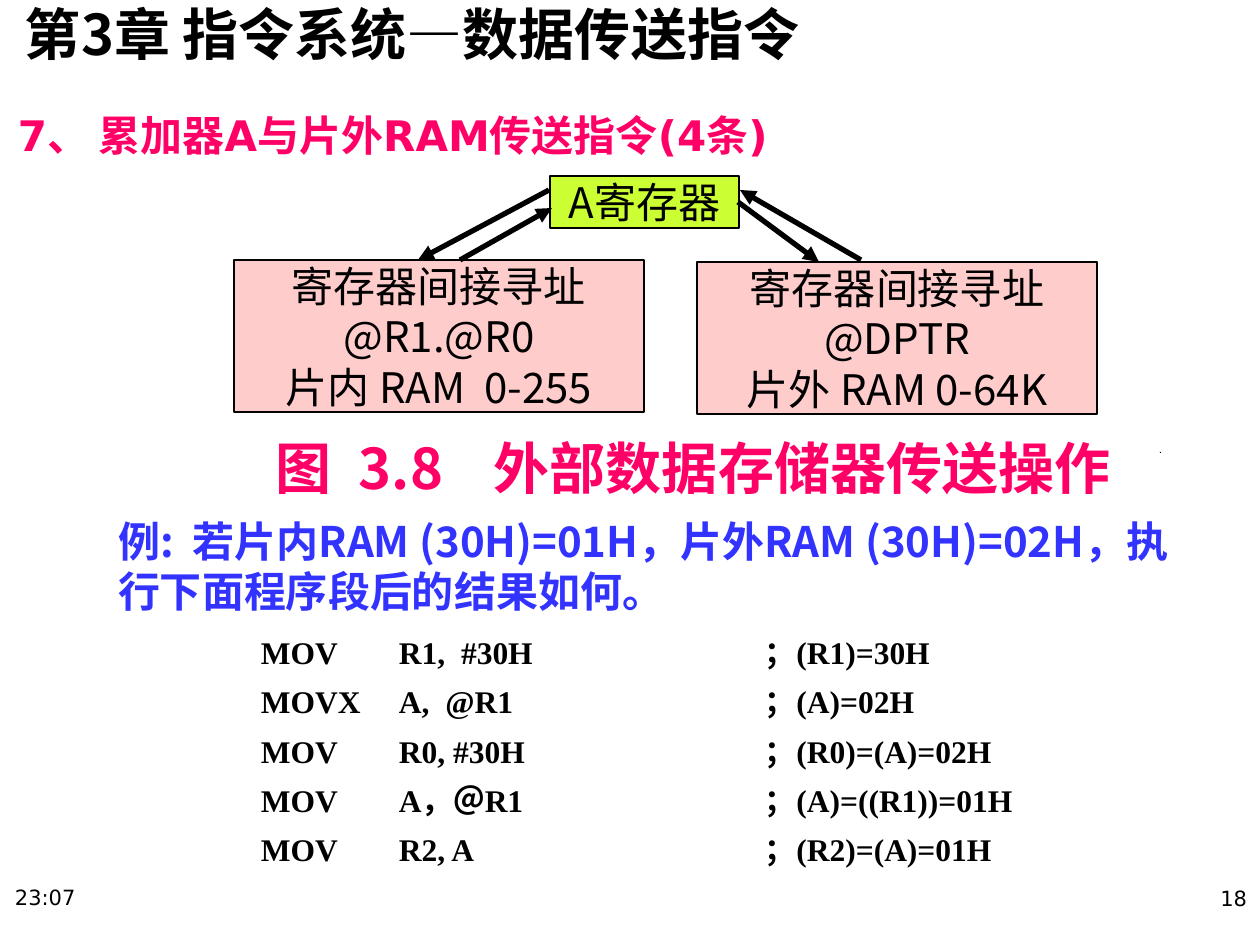
from lxml import etree
from pptx import Presentation
from pptx import util as u
from pptx.dml.color import RGBColor
from pptx.enum import shapes, text
from pptx.oxml import ns

SCALE = 914400 / 126
BLACK = RGBColor(0x00, 0x00, 0x00)
PINK = RGBColor(0xFF, 0x00, 0x66)
BLUE = RGBColor(0x33, 0x33, 0xFF)
LIME = RGBColor(0xCC, 0xFF, 0x33)
ROSE = RGBColor(0xFF, 0xCC, 0xCC)
CJK = "Noto Sans CJK SC"
CJK_JP = "Noto Sans CJK JP"
DEJAVU = "DejaVu Sans"
TIMES = "Times New Roman"
LEFT, CENTER, RIGHT = (text.PP_ALIGN.LEFT, text.PP_ALIGN.CENTER, text.PP_ALIGN.RIGHT)
INSET = (13, 6, 13, 6)
FLUSH = (0, 0, 0, 0)


def px(length):
    return u.Emu(round(length * SCALE))


def write(shape, lines, size, font, color=BLACK, bold=False, align=LEFT,
          inset=INSET, wrap=True, anchor=text.MSO_ANCHOR.TOP):
    frame = shape.text_frame
    frame.word_wrap = wrap
    frame.vertical_anchor = anchor
    frame.margin_left, frame.margin_top, frame.margin_right, frame.margin_bottom = map(px, inset)
    frame.text = "\n".join(lines)
    for para in frame.paragraphs:
        para.alignment = align
        for span in para.runs:
            span.font.size = u.Pt(size)
            span.font.bold = bold
            span.font.name = font
            span.font.color.rgb = color
            east = etree.SubElement(span.font._element, ns.qn("a:ea"))
            east.set("typeface", CJK_JP if font == CJK_JP else CJK)
    return frame


def add_text(parent, box, lines, size, font, **style):
    return write(parent.shapes.add_textbox(*map(px, box)), lines, size, font, **style)


def add_block(parent, box, fill, lines=()):
    block = parent.shapes.add_shape(shapes.MSO_SHAPE.RECTANGLE, *map(px, box))
    block.shadow.inherit = False
    block.fill.solid()
    block.fill.fore_color.rgb = fill
    if lines:
        block.line.color.rgb = BLACK
        block.line.width = u.Pt(0.75)
        write(block, lines, 24, CJK, align=CENTER, inset=FLUSH, anchor=text.MSO_ANCHOR.MIDDLE)
    else:
        block.line.fill.background()


def add_arrow(page, start, end):
    arrow = page.shapes.add_connector(shapes.MSO_CONNECTOR.STRAIGHT, *map(px, start + end))
    arrow.line.color.rgb = BLACK
    arrow.line.width = u.Pt(3)
    etree.SubElement(arrow.line._get_or_add_ln(), ns.qn("a:tailEnd")).set("type", "triangle")
    etree.SubElement(arrow._element.spPr, ns.qn("a:effectLst"))


def add_diagram(page, left, top):
    blocks = [
        ((316, 0, 189, 52), LIME, ["A寄存器"]),
        ((0, 84, 410, 152), ROSE, ["寄存器间接寻址", "@R1.@R0", "片内 RAM  0-255"]),
        ((463, 86, 400, 152), ROSE, ["寄存器间接寻址", "@DPTR", "片外 RAM 0-64K"]),
    ]
    for (x, y, width, height), fill, lines in blocks:
        add_block(page, (left + x, top + y, width, height), fill, lines)
    arrows = [((315, 14), (184, 84)), ((226, 84), (318, 32)),
              ((504, 26), (585, 86)), ((627, 84), (506, 14))]
    for start, end in arrows:
        add_arrow(page, (left + start[0], top + start[1]), (left + end[0], top + end[1]))


def add_caption(page, left, top):
    caption = page.shapes.add_group_shape()
    for x, width, words in [(0, 57, "图"), (84, 123, "3.8"), (219, 625, "外部数据存储器传送操作")]:
        add_text(caption, (left + x, top, width, 68), [words], 32, CJK,
                 color=PINK, bold=True, inset=FLUSH, wrap=False)
    add_block(caption, (left + 885, top + 19, 1, 1), BLACK)


def add_code(page, box):
    rows = [
        ("MOV", "R1,  #30H", "(R1)=30H"),
        ("MOVX", "A,  @R1", "(A)=02H"),
        ("MOV", "R0, #30H", "(R0)=(A)=02H"),
        ("MOV", "A，＠R1", "(A)=((R1))=01H"),
        ("MOV", "R2, A", "(R2)=(A)=01H"),
    ]
    lines = [f"\t{name}\t{operands}\t；{result}" for name, operands, result in rows]
    frame = add_text(page, box, lines, 18, TIMES, bold=True, wrap=False)
    for para in frame.paragraphs:
        para.line_spacing = 1.3
        stops = etree.SubElement(para._p.get_or_add_pPr(), ns.qn("a:tabLst"))
        for position in (126, 264, 630):
            stop = etree.SubElement(stops, ns.qn("a:tab"))
            stop.set("pos", str(px(position)))
            stop.set("algn", "l")


def add_footer(page, left, top, width):
    add_text(page, (left, top, 273, 65), ["23:07"], 12, DEJAVU)
    add_text(page, (left + width - 273, top + 1, 273, 65), ["18"], 12, DEJAVU, align=RIGHT)


def build():
    deck = Presentation()
    deck.slide_width, deck.slide_height = px(1260), px(945)
    page = deck.slides.add_slide(deck.slide_layouts[6])
    add_diagram(page, 234, 176)
    add_caption(page, 275, 433)
    add_footer(page, 2, 879, 1258)
    add_text(page, (0, 0, 917, 98), ["第3章 指令系统—数据传送指令"], 32, CJK,
             bold=True, inset=(25, 0, 0, 0))
    add_text(page, (5, 103, 794, 84), ["7、 累加器A与片外RAM传送指令(4条)"], 24, DEJAVU,
             color=PINK, bold=True)
    add_code(page, (122, 616, 912, 299))
    add_text(page, (105, 509, 1113, 132),
             ["例:  若片内RAM (30H)=01H，片外RAM (30H)=02H，执行下面程序段后的结果如何。"],
             24, CJK_JP, color=BLUE, bold=True)
    deck.save("out.pptx")


build()
